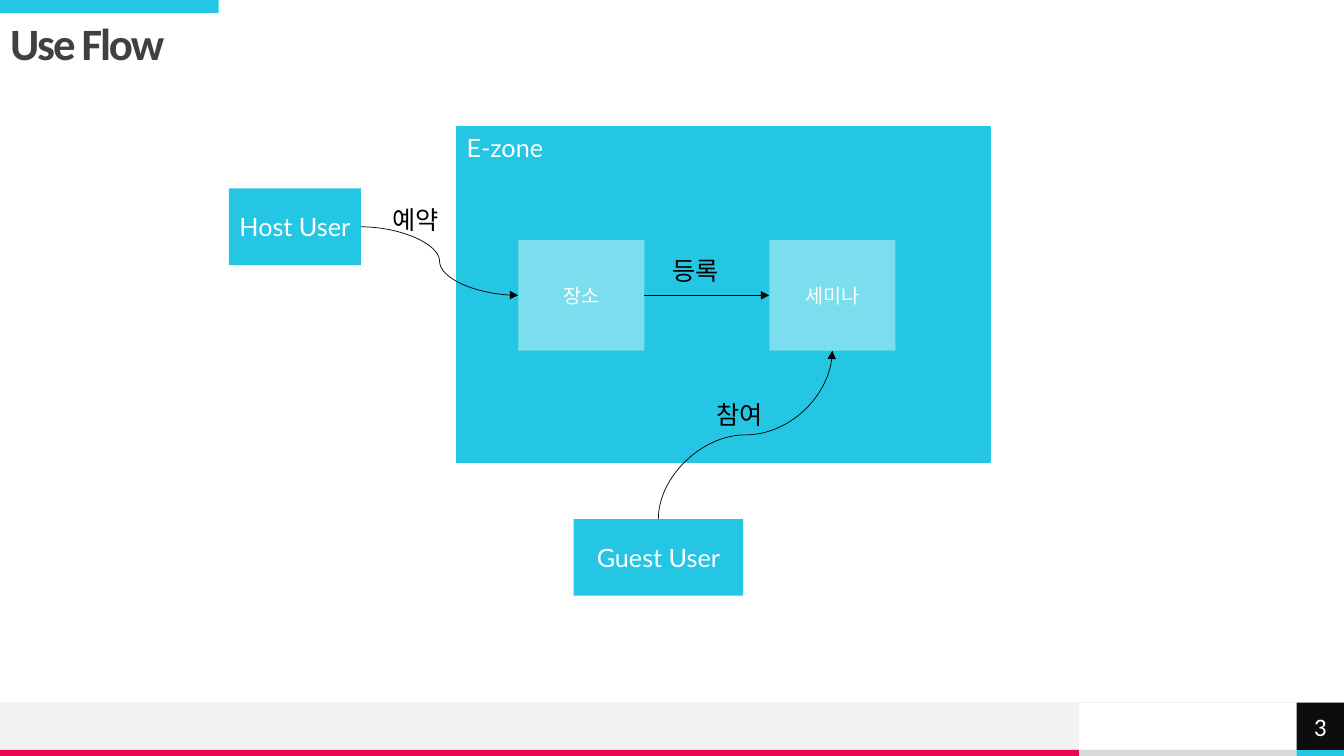
from lxml.etree import SubElement
from pptx import Presentation
from pptx.dml.color import RGBColor
from pptx.enum.shapes import MSO_CONNECTOR as CONN, MSO_SHAPE as SHAPE
from pptx.enum.text import MSO_ANCHOR as ANCHOR, PP_ALIGN as ALIGN
from pptx.oxml.ns import qn
from pptx.util import Inches, Pt

CYAN = RGBColor(0x25, 0xC6, 0xE3)
PALE_CYAN = RGBColor(0x7C, 0xDD, 0xEE)
PINK = RGBColor(0xE8, 0x05, 0x54)
SILVER = RGBColor(0xDA, 0xDA, 0xDA)
LIGHT = RGBColor(0xF2, 0xF2, 0xF2)
DARK = RGBColor(0x40, 0x40, 0x40)
NEAR_BLACK = RGBColor(0x0D, 0x0D, 0x0D)
BLACK = RGBColor(0, 0, 0)
WHITE = RGBColor(0xFF, 0xFF, 0xFF)

TOP, LEFT, BOTTOM, RIGHT = range(4)


def write(tf, text, font="Lato", size=18, color=WHITE, bold=False,
          align=ALIGN.LEFT, anchor=ANCHOR.TOP, spacing=None, tracking=None):
    tf.word_wrap = True
    tf.vertical_anchor = anchor
    p = tf.paragraphs[0]
    p.alignment = align
    p.line_spacing = spacing
    r = p.add_run()
    r.text = text
    r.font.name, r.font.size, r.font.bold = font, Pt(size), bold
    r.font.color.rgb = color
    if tracking:
        r.font._element.set("spc", str(int(tracking * 100)))


class FlowSlide:
    accent = CYAN
    line_width = Pt(0.5)

    def __init__(self, prs):
        self.slide = prs.slides.add_slide(prs.slide_layouts[5])
        self.shapes = self.slide.shapes

    def title(self, text, x, y, w, h):
        sp = self.shapes.title
        sp.left, sp.top, sp.width, sp.height = map(Inches, (x, y, w, h))
        write(sp.text_frame, text, font="Calibri", size=32, color=DARK,
              bold=True, spacing=0.9, tracking=-1.5)

    def box(self, x, y, w, h, fill=None, text=None, outline=None, margin=None, **fmt):
        sp = self.shapes.add_shape(SHAPE.RECTANGLE, *map(Inches, (x, y, w, h)))
        sp.shadow.inherit = False
        sp.fill.solid()
        sp.fill.fore_color.rgb = fill or self.accent
        if outline:
            sp.line.color.rgb = outline
            sp.line.width = Pt(1)
        else:
            sp.line.fill.background()
        tf = sp.text_frame
        if margin is not None:
            tf.margin_left = tf.margin_right = Inches(margin)
            tf.margin_top = tf.margin_bottom = Inches(margin)
        if text:
            write(tf, text, **{"align": ALIGN.CENTER, "anchor": ANCHOR.MIDDLE, **fmt})
        return sp

    def label(self, text, x, y, w, h=0.4, font="Calibri"):
        tb = self.shapes.add_textbox(*map(Inches, (x, y, w, h)))
        write(tb.text_frame, text, font=font, color=BLACK)

    def line(self, kind, color, x1=0, y1=0, x2=0, y2=0):
        c = self.shapes.add_connector(kind, *map(Inches, (x1, y1, x2, y2)))
        c.line.color.rgb = color
        c.line.width = self.line_width
        SubElement(c._element.spPr, qn("a:effectLst"))
        return c

    def arrow(self, start, start_site, end, end_site):
        c = self.line(CONN.CURVE, BLACK)
        c.begin_connect(start, start_site)
        c.end_connect(end, end_site)
        SubElement(c.line._get_or_add_ln(), qn("a:tailEnd"), type="triangle")
        if start_site == TOP:
            self.turn_upright(c)

    def turn_upright(self, c):
        w, h = c.width, c.height
        c.left, c.top = c.left + (w - h) // 2, c.top + (h - w) // 2
        c.width, c.height = h, w
        xfrm = c._element.spPr.find(qn("a:xfrm"))
        for name, value in (("rot", "5400000"), ("flipH", "1"), ("flipV", "1")):
            xfrm.set(name, value)


prs = Presentation()
prs.slide_width, prs.slide_height = Inches(13.33), Inches(7.5)
s = FlowSlide(prs)

s.box(10.7, 7.44, 2.16, 0.06, SILVER)
s.box(0, 6.97, 10.7, 0.47, LIGHT)
s.box(0, 7.44, 10.7, 0.06, PINK)
s.box(12.86, 7.44, 0.47, 0.06)
s.line(CONN.STRAIGHT, LIGHT, 13.33, 6.97, 0, 6.97)
s.box(0, 0, 2.17, 0.13)
s.title("Use Flow", 0, 0.17, 2.17, 0.49)
s.box(12.86, 6.97, 0.47, 0.47, NEAR_BLACK, "3", margin=0, font="Calibri")

host = s.box(2.27, 1.87, 1.31, 0.76, text="Host User")
s.box(4.53, 1.26, 5.29, 3.33, text="E-zone", outline=CYAN,
      align=ALIGN.LEFT, anchor=ANCHOR.TOP)
place, seminar = [s.box(x, 2.38, 1.25, 1.1, PALE_CYAN, text, size=14)
                  for x, text in ((5.14, "장소"), (7.63, "세미나"))]
guest = s.box(5.69, 5.15, 1.68, 0.76, text="Guest User")

s.arrow(host, RIGHT, place, LEFT)
s.arrow(place, RIGHT, seminar, LEFT)
s.arrow(guest, TOP, seminar, BOTTOM)

s.label("예약", 3.79, 1.98, 0.79)
s.label("등록", 6.57, 2.48, 0.88)
s.label("참여", 7.01, 3.91, 0.92, font="Lato")

prs.save("out.pptx")
